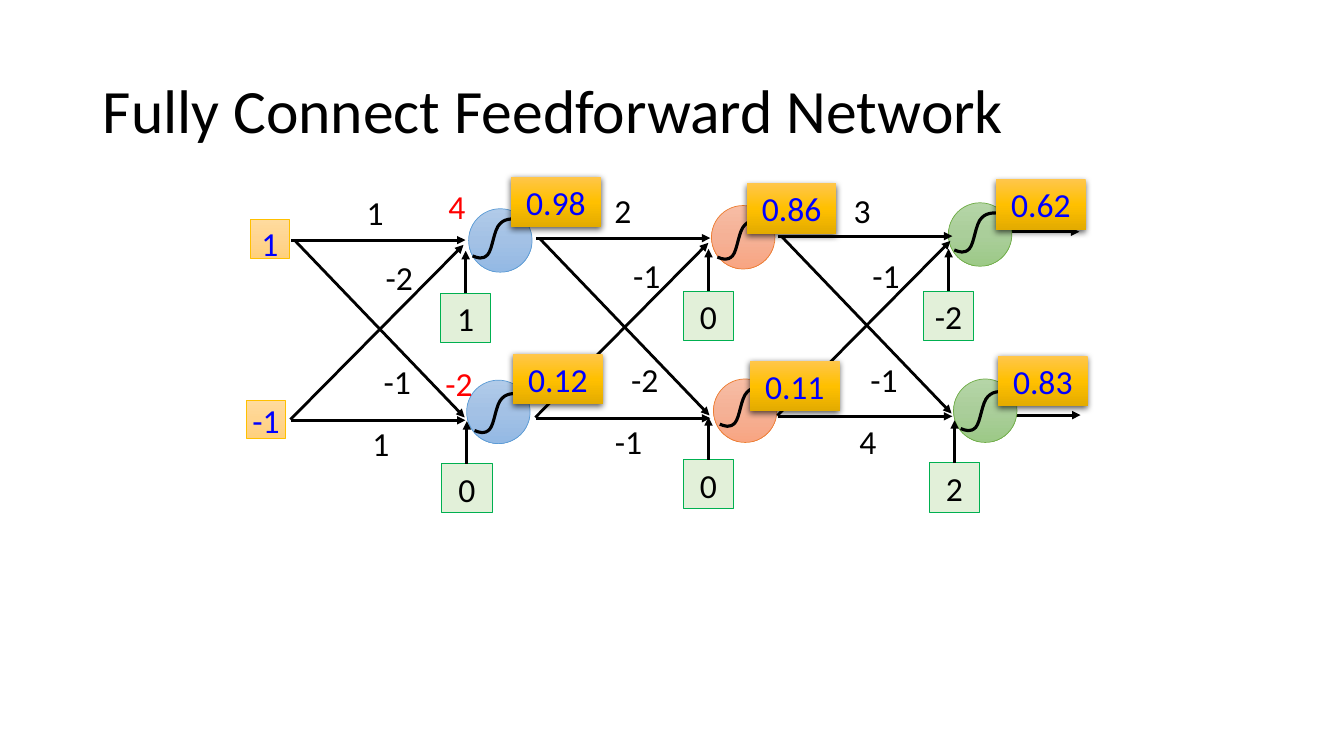
"""Build a slide showing a small feedforward network with weights, biases and outputs."""
import copy

import pptx
import pptx.dml.color
import pptx.enum.shapes
import pptx.enum.text
import pptx.oxml.ns
import pptx.oxml.xmlchemy
import pptx.util

Cm = pptx.util.Cm
Pt = pptx.util.Pt
RGB = pptx.dml.color.RGBColor.from_string
qn = pptx.oxml.ns.qn
Node = pptx.oxml.xmlchemy.OxmlElement
KIND = pptx.enum.shapes.MSO_SHAPE
ANCHOR = pptx.enum.text.MSO_ANCHOR
ALIGN = pptx.enum.text.PP_ALIGN

COLORS = {
    "black": "000000", "red": "FF0000", "ink": "0000FF",
    "blue": "B1CBE9 A3C1E5 93B9E4", "blue edge": "5B9BD5",
    "orange": "F7BDA5 F5B196 F8A582", "orange edge": "ED7D31",
    "green": "B5D5A7 AACE9A 9CC987", "green edge": "70AD47",
    "input": "FFDB9E FFD590 FFD07C", "input edge": "FFC000",
    "value": "FFC64B FFC000 E3AB00",
    "bias": "E2F0D9", "bias edge": "00B050",
}

deck = pptx.Presentation()
deck.slide_width, deck.slide_height = Cm(33.87), Cm(19.05)
slide = deck.slides.add_slide(deck.slide_layouts[6])
shapes = slide.shapes


def block(kind, x, y, w, h, fill=None, text="", ink="black", size=24):
    """Add a filled shape, or a text box when kind is None, with centred text."""
    place = Cm(x), Cm(y), Cm(w), Cm(h)
    if kind is None:
        item = shapes.add_textbox(*place)
    else:
        item = shapes.add_shape(kind, *place)
        item.shadow.inherit = False
        tones = COLORS[fill].split()
        if len(tones) == 1:
            item.fill.solid()
            item.fill.fore_color.rgb = RGB(tones[0])
        else:
            item.fill.gradient()
            item.fill.gradient_angle = 270
            stops = item._element.spPr.find(".//" + qn("a:gsLst"))
            stops.insert(1, copy.deepcopy(stops[0]))
            for stop, tone, spot in zip(item.fill.gradient_stops, tones, (0, 0.5, 1)):
                stop.color.rgb = RGB(tone)
                stop.position = spot
        edge = COLORS.get(fill + " edge")
        if edge:
            item.line.color.rgb = RGB(edge)
            item.line.width = Pt(0.5)
        else:
            item.line.fill.background()
    if text:
        frame = item.text_frame
        frame.word_wrap = True
        frame.vertical_anchor = ANCHOR.TOP
        frame.margin_left = frame.margin_right = 0
        line = frame.paragraphs[0]
        line.text = text
        line.alignment = ALIGN.CENTER
        line.font.name = "Calibri"
        line.font.size = Pt(size)
        line.font.color.rgb = RGB(COLORS[ink])
    return item


def arrow(x1, y1, x2, y2):
    """Add a black straight arrow."""
    link = shapes.add_connector(pptx.enum.shapes.MSO_CONNECTOR.STRAIGHT,
                                Cm(x1), Cm(y1), Cm(x2), Cm(y2))
    link.line.color.rgb = RGB(COLORS["black"])
    link.line.width = Pt(2)
    prop = link._element.spPr
    tip = Node("a:tailEnd")
    tip.set("type", "triangle")
    prop.find(qn("a:ln")).append(tip)
    prop.append(Node("a:effectLst"))
    return link


title = block(None, 2.59, 1.02, 28.7, 3.68, text="Fully Connect Feedforward Network", size=44)
title.text_frame.vertical_anchor = ANCHOR.MIDDLE
title.text_frame.paragraphs[0].alignment = ALIGN.LEFT
title.text_frame.paragraphs[0].line_spacing = 0.9

arrow(25.4, 10.46, 27.23, 10.46)
arrow(25.4, 5.84, 27.2, 5.84)

neurons = [
    ("blue", (11.81, 5.26), (11.91, 5.51), (11.1, 7.39), "1", (12.88, 4.45), "0.98"),
    ("blue", (11.76, 9.58), (11.96, 9.91), (11.13, 11.68), "0", (12.93, 8.92), "0.12"),
    ("orange", (17.93, 5.18), (18.08, 5.54), (17.22, 7.34), "0", (18.82, 4.62), "0.86"),
    ("orange", (17.98, 9.55), (18.14, 9.75), (17.22, 11.58), "0", (18.9, 9.09), "0.11"),
    ("green", (23.9, 5.11), (24.05, 5.36), (23.27, 7.34), "-2", (25.1, 4.52), "0.62"),
    ("green", (24.03, 9.55), (24.21, 9.86), (23.42, 11.66), "2", (25.15, 8.97), "0.83"),
]
for hue, disc, *rest in neurons:
    block(KIND.OVAL, *disc, 1.6, 1.6, hue)

wires = [(7.32, 10.57, 11.68, 6.17), (7.42, 6.05, 11.71, 10.52),
         (7.34, 10.59, 11.73, 10.59), (7.34, 6.05, 11.73, 6.05)]
spots = [(8.97, 4.7, 0.97), (9.45, 6.35, 1.22), (8.61, 10.54, 1.98), (9.02, 8.97, 1.98)]
layers = [
    (0, 0, 0, 0, ("1", "-2", "1", "-1")),
    (6.17, -0.05, 6.24, -0.05, ("2", "-1", "-1", "-2")),
    (12.27, -0.1, 12.27, -0.05, ("3", "-1", "4", "-1")),
]
for dx, dy, right, down, weights in layers:
    for x1, y1, x2, y2 in wires:
        arrow(x1 + dx, y1 + dy, x2 + dx, y2 + dy)
    for (x, y, w), weight in zip(spots, weights):
        block(None, x + right, y + down, w, 1.27, text=weight)

block(None, 10.92, 4.55, 1.19, 1.27, text="4", ink="red")
block(None, 10.62, 9.02, 1.9, 1.27, text="-2", ink="red")

bends = [(107, 0), (84, -3), (69, 13), (53, 28), (51, 76), (38, 91),
         (25, 104), (13, 99), (0, 94)]
for hue, disc, bend, base, bias, spot, value in neurons:
    pen = shapes.build_freeform(130, 3, scale=Cm(0.01))
    pen.add_line_segments(bends, close=False)
    curve = pen.convert_to_shape(Cm(bend[0]), Cm(bend[1]))
    curve.shadow.inherit = False
    curve.fill.background()
    curve.line.color.rgb = RGB(COLORS["black"])
    curve.line.width = Pt(2.25)
    route = curve._element.spPr.find(".//" + qn("a:path"))
    steps = route.findall(qn("a:lnTo"))
    for start in range(0, len(steps), 3):
        arc = Node("a:cubicBezTo")
        for step in steps[start:start + 3]:
            arc.append(step[0])
            route.remove(step)
        route.append(arc)

    box = block(KIND.RECTANGLE, *base, 1.27, 1.24, "bias", bias)
    middle = base[0] + 1.27 / 2
    stem = arrow(middle, base[1], middle, base[1] - 1.07)
    stem.begin_connect(box, 0)

    card = block(KIND.RECTANGLE, *spot, 2.26, 1.27, "value", value, "ink")
    shade = Node("a:outerShdw")
    for key, amount in (("blurRad", Pt(4.5)), ("dist", Pt(1.5)), ("dir", 5400000)):
        shade.set(key, str(int(amount)))
    tint = Node("a:srgbClr")
    tint.set("val", COLORS["black"])
    alpha = Node("a:alpha")
    alpha.set("val", "63000")
    tint.append(alpha)
    shade.append(tint)
    card._element.spPr.find(qn("a:effectLst")).append(shade)

for x, y, text, inset in ((6.32, 5.54, "1", 0.08), (6.22, 10.08, "-1", 0)):
    cell = block(KIND.RECTANGLE, x, y, 0.97, 0.97, "input", text, "ink")
    cell.text_frame.margin_top = Cm(inset)
    cell.text_frame.margin_bottom = 0

deck.save("out.pptx")
